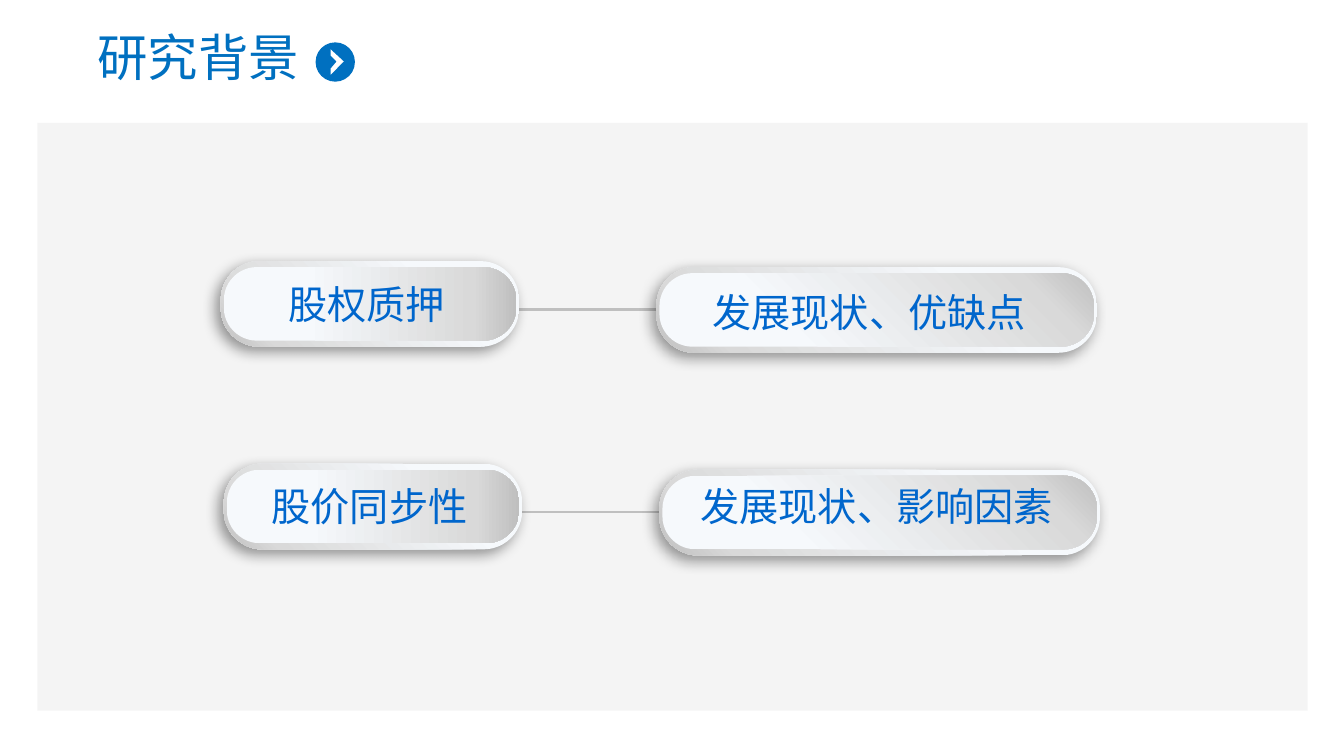
from copy import deepcopy
from dataclasses import dataclass

from lxml.etree import SubElement
from pptx import Presentation
from pptx.dml.color import RGBColor
from pptx.enum.shapes import MSO_CONNECTOR, MSO_SHAPE
from pptx.enum.text import MSO_ANCHOR, PP_ALIGN
from pptx.oxml.ns import qn
from pptx.util import Inches, Pt


@dataclass(frozen=True)
class Theme:
    font: str = "Noto Sans CJK SC"
    title_size: int = 36
    label_size: int = 28
    title: str = "0070C0"
    label: str = "0066CC"
    panel: str = "F2F2F2"
    link: str = "BFBFBF"
    white: str = "FFFFFF"
    shadow: str = "000000"
    metal: tuple = ((0.28, "F6F9FC"), (0.85, "D9D9D9"), (1.0, "BFBFBF"))


THEME = Theme()

prs = Presentation()
prs.slide_width = Inches(13.33)
prs.slide_height = Inches(7.5)
slide = prs.slides.add_slide(prs.slide_layouts[6])
shapes = slide.shapes


def add_text(text, left, top, width, height, *, size, color, align=PP_ALIGN.CENTER):
    box = shapes.add_textbox(Inches(left), Inches(top), Inches(width), Inches(height))
    frame = box.text_frame
    frame.word_wrap = True
    frame.vertical_anchor = MSO_ANCHOR.TOP
    paragraph = frame.paragraphs[0]
    paragraph.alignment = align
    run = paragraph.add_run()
    run.text = text
    run.font.size = Pt(size)
    run.font.name = THEME.font
    run.font.color.rgb = RGBColor.from_string(color)
    SubElement(run.font._element, qn("a:ea"), typeface=THEME.font)


def paint(shape, color=None, angle=0):
    """Fill with one colour, or with the metal gradient turned clockwise by angle."""
    shape.shadow.inherit = False
    shape.line.fill.background()
    if color:
        shape.fill.solid()
        shape.fill.fore_color.rgb = RGBColor.from_string(color)
        return
    shape.fill.gradient()
    shape.fill.gradient_angle = (360 - angle) % 360
    stop_list = shape._element.spPr.find(".//" + qn("a:gsLst"))
    stop_list.append(deepcopy(stop_list[-1]))
    for stop, (position, stop_color) in zip(shape.fill.gradient_stops, THEME.metal):
        stop.position = position
        stop.color.rgb = RGBColor.from_string(stop_color)


# Background panel
panel = shapes.add_shape(
    MSO_SHAPE.RECTANGLE, Inches(0.37), Inches(1.22), Inches(12.6), Inches(5.83)
)
paint(panel, THEME.panel)
panel_color = panel._element.spPr.find(".//" + qn("a:srgbClr"))
SubElement(panel_color, qn("a:alpha"), val="78000")

# Rows: a topic pill linked to a detail pill
PILL_HEIGHT, RIM_X, RIM_Y = 0.85, 0.03, 0.06
ROW_SHIFT_X, ROW_SHIFT_Y = 0.03, 2.01
# left, top, width, angle of the inner gradient
PILLS = ((2.19, 2.59, 2.96, 0), (6.51, 2.65, 4.37, 315))
# text, left, top, width
ROWS = (
    (("股权质押", 2.47, 2.73, 2.33), ("发展现状、优缺点", 6.69, 2.81, 3.86)),
    (("股价同步性", 2.5, 4.74, 2.33), ("发展现状、影响因素", 6.54, 4.74, 4.31)),
)

for row, labels in enumerate(ROWS):
    dx, dy = row * ROW_SHIFT_X, row * ROW_SHIFT_Y
    link = shapes.add_connector(
        MSO_CONNECTOR.STRAIGHT,
        Inches(5.15 + dx), Inches(3.07 + dy), Inches(6.73 + dx), Inches(3.07 + dy),
    )
    link.line.color.rgb = RGBColor.from_string(THEME.link)
    link.line.width = Pt(2)
    SubElement(link._element.spPr, qn("a:effectLst"))

    for left, top, width, inner_angle in PILLS:
        for rim_x, rim_y, angle in ((0, 0, 135), (RIM_X, RIM_Y, inner_angle)):
            pill = shapes.add_shape(
                MSO_SHAPE.ROUNDED_RECTANGLE,
                Inches(left + dx + rim_x), Inches(top + dy + rim_y),
                Inches(width - 2 * rim_x), Inches(PILL_HEIGHT - 2 * rim_y),
            )
            pill.adjustments[0] = 0.45
            paint(pill, angle=angle)
            if not rim_x:
                effects = pill._element.spPr.find(qn("a:effectLst"))
                shadow = SubElement(
                    effects, qn("a:outerShdw"), blurRad=str(Pt(10)), dist=str(Pt(5)),
                    dir=str(135 * 60000), algn="tr", rotWithShape="0",
                )
                shadow_color = SubElement(shadow, qn("a:srgbClr"), val=THEME.shadow)
                SubElement(shadow_color, qn("a:alpha"), val="40000")

    for text, left, top, width in labels:
        add_text(text, left, top, width, 0.57, size=THEME.label_size, color=THEME.label)

# Title with its arrow badge
add_text("研究背景", 0.41, 0.21, 3.11, 0.71, size=THEME.title_size, color=THEME.title)
badge = shapes.add_shape(
    MSO_SHAPE.OVAL, Inches(3.13), Inches(0.42), Inches(0.39), Inches(0.39)
)
paint(badge, THEME.title)
outline = shapes.build_freeform(Inches(3.28), Inches(0.49))
arrow_points = ((3.41, 0.61), (3.28, 0.74), (3.28, 0.68), (3.34, 0.61), (3.28, 0.55))
outline.add_line_segments([(Inches(x), Inches(y)) for x, y in arrow_points])
paint(outline.convert_to_shape(), THEME.white)

prs.save("out.pptx")
